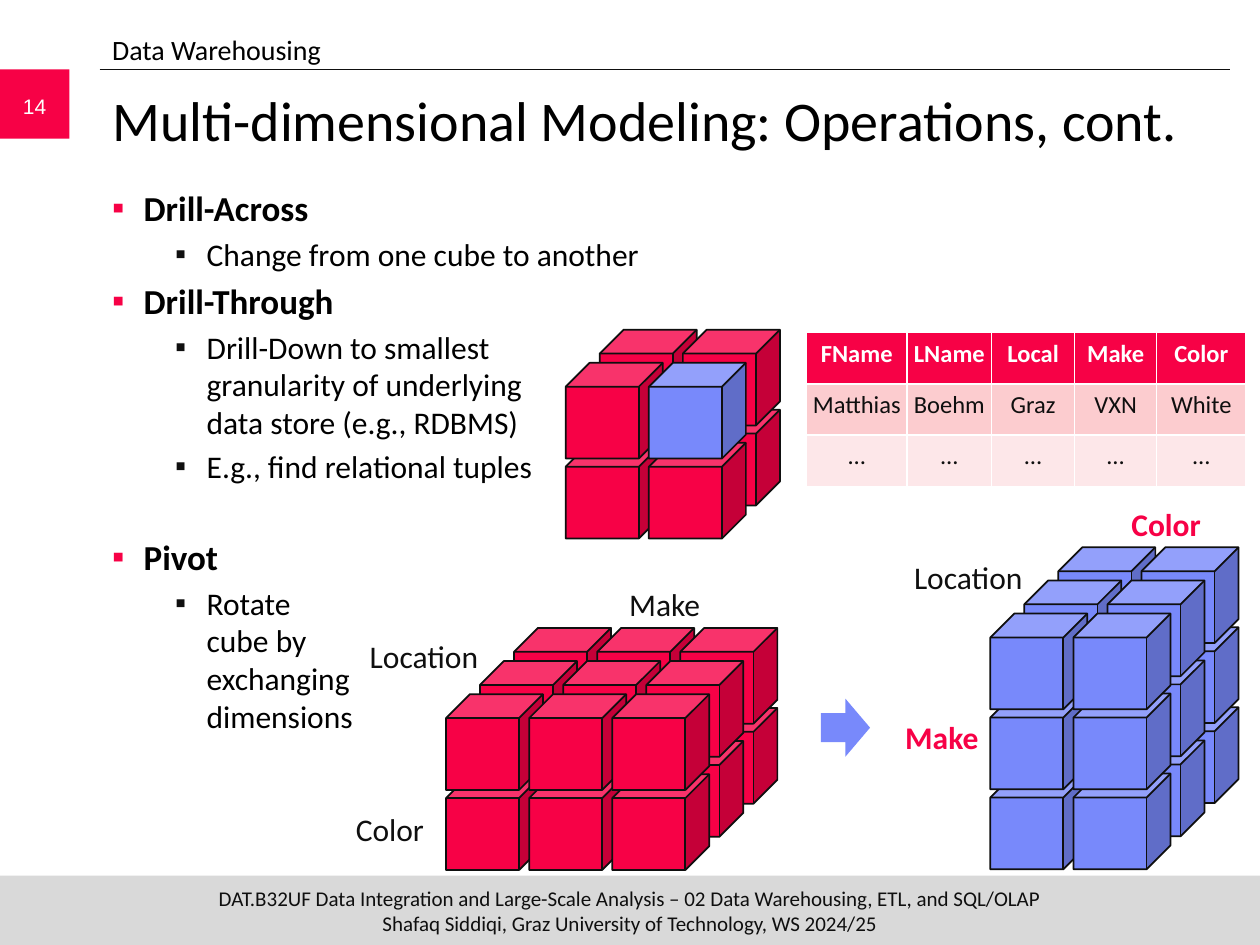
"""Builds a slide on drill and pivot operations over multi-dimensional cubes."""
from copy import deepcopy
from dataclasses import dataclass
from itertools import product

from lxml.etree import SubElement
from pptx import Presentation
from pptx.dml.color import RGBColor
from pptx.enum.shapes import MSO_CONNECTOR as Connector, MSO_SHAPE as Shape
from pptx.enum.text import MSO_ANCHOR as Anchor, MSO_AUTO_SIZE as AutoSize, PP_ALIGN as Align
from pptx.oxml.ns import qn
from pptx.util import Inches, Pt

RED, BLUE, INK, BLACK, WHITE = "F70146", "7889FB", "0F0F0F", "000000", "FFFFFF"
GREY, ROSE, PALE = "D9D9D9", "FCCCCF", "FDE7E9"

BULLETS = [
    (0, "Drill-Across", 0),
    (1, "Change from one cube to another", 3.5),
    (0, "Drill-Through", 4),
    (1, "Drill-Down to smallest\ngranularity of underlying\ndata store (e.g., RDBMS)", 3.5),
    (1, "E.g., find relational tuples", 3.5),
    (0, "Pivot", 29),
    (1, "Rotate\ncube by\nexchanging\ndimensions", 3.5),
]
TUPLES = [
    ["FName", "LName", "Local", "Make", "Color"],
    ["Matthias", "Boehm", "Graz", "VXN", "White"],
    ["…"] * 5,
]
LABELS = [
    ("Location", 28.8, 50.1, False), ("Color", 26.1, 63.8, False),
    ("Make", 47.9, 45.9, False), ("Make", 69.9, 56.5, True),
    ("Location", 72, 43.8, False), ("Color", 87.7, 39.6, True),
]
FOOTER = ("DAT.B32UF Data Integration and Large-Scale Analysis – 02 Data Warehousing, ETL, and SQL/OLAP\n"
          "Shafaq Siddiqi, Graz University of Technology, WS 2024/25")


def color(value):
    """Turn a hex string into a colour."""
    return RGBColor.from_string(value)


@dataclass
class SlideBuilder:
    """Draws on one slide with a grid of 100 columns by 75 rows."""
    page: object
    font: str = "Calibri"
    cell: int = Inches(0.1)

    def grid(self, *lengths):
        """Convert grid units to slide units."""
        return [round(length * self.cell) for length in lengths]

    def fill_paragraph(self, para, text, size, ink, bold=False, align=Align.LEFT, font=None):
        """Fill and format one paragraph, line breaks included."""
        para.text = text
        para.alignment = align
        for span in para.runs:
            span.font.name = font or self.font
            span.font.size = Pt(size)
            span.font.bold = bold
            span.font.color.rgb = color(ink)
        for line_break in para._p.findall(qn("a:br")):
            line_break.insert(0, deepcopy(para.runs[0]._r.rPr))

    def placeholder(self, index, *area):
        """Move a placeholder and return its text frame."""
        box = self.page.placeholders[index]
        box.left, box.top, box.width, box.height = self.grid(*area)
        frame = box.text_frame
        frame.vertical_anchor = Anchor.TOP
        frame.auto_size = AutoSize.NONE
        return frame

    def heading(self, index, text, size, *area):
        """Fill a plain one-line placeholder."""
        para = self.placeholder(index, *area).paragraphs[0]
        self.fill_paragraph(para, text, size, BLACK)
        para.space_before = Pt(0)
        properties = para._p.get_or_add_pPr()
        properties.set("marL", "0")
        properties.set("indent", "0")
        SubElement(properties, qn("a:buNone"))

    def bullets(self, index, items, *area):
        """Fill a placeholder with a two-level bulleted list."""
        frame = self.placeholder(index, *area)
        for number, (level, text, gap) in enumerate(items):
            para = frame.add_paragraph() if number else frame.paragraphs[0]
            self.fill_paragraph(para, text, 18 if level else 20, BLACK, bold=not level)
            para.level = level
            para.space_before = Pt(gap)
            properties = para._p.get_or_add_pPr()
            properties.set("marL", str(Inches(0.25 + 0.5 * level)))
            properties.set("indent", str(Inches(-0.25)))
            tint = SubElement(properties, qn("a:buClr"))
            SubElement(tint, qn("a:srgbClr"), val=INK if level else RED)
            SubElement(properties, qn("a:buFont"), typeface="Arial")
            SubElement(properties, qn("a:buChar"), char="▪")

    def label(self, text, size, ink, *area, bold=False, font=None, anchor=Anchor.TOP):
        """Add a centred text box."""
        frame = self.page.shapes.add_textbox(*self.grid(*area)).text_frame
        frame.word_wrap = True
        frame.margin_left = frame.margin_right = 0
        frame.vertical_anchor = anchor
        self.fill_paragraph(frame.paragraphs[0], text, size, ink, bold, Align.CENTER, font)

    def shape(self, kind, fill, *area, line=None, parent=None):
        """Add a filled preset shape."""
        box = (parent or self.page).shapes.add_shape(kind, *self.grid(*area))
        box.shadow.inherit = False
        box.fill.solid()
        box.fill.fore_color.rgb = color(fill)
        if line:
            box.line.color.rgb = color(line)
            box.line.width = Pt(1)
        else:
            box.line.fill.background()
        return box

    def rule(self, *ends):
        """Add a thin straight line."""
        line = self.page.shapes.add_connector(Connector.STRAIGHT, *self.grid(*ends))
        line.line.color.rgb = color(INK)
        line.line.width = Pt(0.5)
        SubElement(line._element.spPr, qn("a:effectLst"))

    def cubes(self, fill, left, top, columns, rows, depth):
        """Stack cubes from back to front and return the front top right one."""
        group = self.page.shapes.add_group_shape()
        for layer, row, column in product(reversed(range(depth)), reversed(range(rows)), range(columns)):
            cube = self.shape(Shape.CUBE, fill, left + 6.6 * column + 2.7 * layer,
                              top + 6.35 * row - 2.63 * layer, 7.7, 7.6, line=INK, parent=group)
        return cube

    def table(self, values, fills, widths, row_height, left, top):
        """Add a table with one fill per row."""
        area = self.grid(left, top, sum(widths), row_height * len(values))
        table = self.page.shapes.add_table(len(values), len(widths), *area).table
        for column, width in zip(table.columns, self.grid(*widths)):
            column.width = width
        for row, texts in enumerate(values):
            for column, text in enumerate(texts):
                cell = table.cell(row, column)
                cell.margin_left = cell.margin_right = 0
                cell.fill.solid()
                cell.fill.fore_color.rgb = color(fills[row])
                header = row == 0
                self.fill_paragraph(cell.text_frame.paragraphs[0], text, 14,
                                    WHITE if header else INK, header, Align.CENTER)


def main():
    """Build and save the slide."""
    deck = Presentation()
    deck.slide_width, deck.slide_height = Inches(10), Inches(7.5)
    slide = SlideBuilder(deck.slides.add_slide(deck.slide_layouts[3]))

    slide.shape(Shape.RECTANGLE, GREY, 0, 69.5, 100, 5.5)
    slide.rule(7.9, 5.5, 97.6, 5.5)
    slide.shape(Shape.RECTANGLE, RED, 0, 5.5, 5.5, 5.5)
    slide.label("14", 12, WHITE, 0, 6.4, 5.5, 4, font="Arial", anchor=Anchor.MIDDLE)
    slide.label(FOOTER, 12, INK, 0, 69.5, 100, 5.5, anchor=Anchor.MIDDLE)

    slide.heading(0, "Multi-dimensional Modeling: Operations, cont.", 32, 7.9, 6.3, 89.6, 8.3)
    slide.bullets(1, BULLETS, 7.9, 14.3, 89.6, 54)
    slide.heading(2, "Data Warehousing", 16, 7.9, 2.1, 90, 3.6)

    selected = slide.cubes(RED, 44.9, 28.8, 2, 2, 2)
    selected.fill.fore_color.rgb = color(BLUE)
    slide.table(TUPLES, [RED, ROSE, PALE], [8, 6.7, 6.6, 6.5, 7.1], 4.07, 64, 26.4)
    slide.cubes(BLUE, 78.6, 48.7, 2, 3, 3)
    slide.cubes(RED, 35.4, 55.1, 3, 2, 3)

    arrow = slide.shape(Shape.DOWN_ARROW, BLUE, 64.8, 55.8, 4.6, 3.9)
    arrow.rotation = 270
    for text, left, top, bold in LABELS:
        slide.label(text, 18, RED if bold else INK, left, top, 9.7, 4, bold=bold)

    deck.save("out.pptx")


if __name__ == "__main__":
    main()
